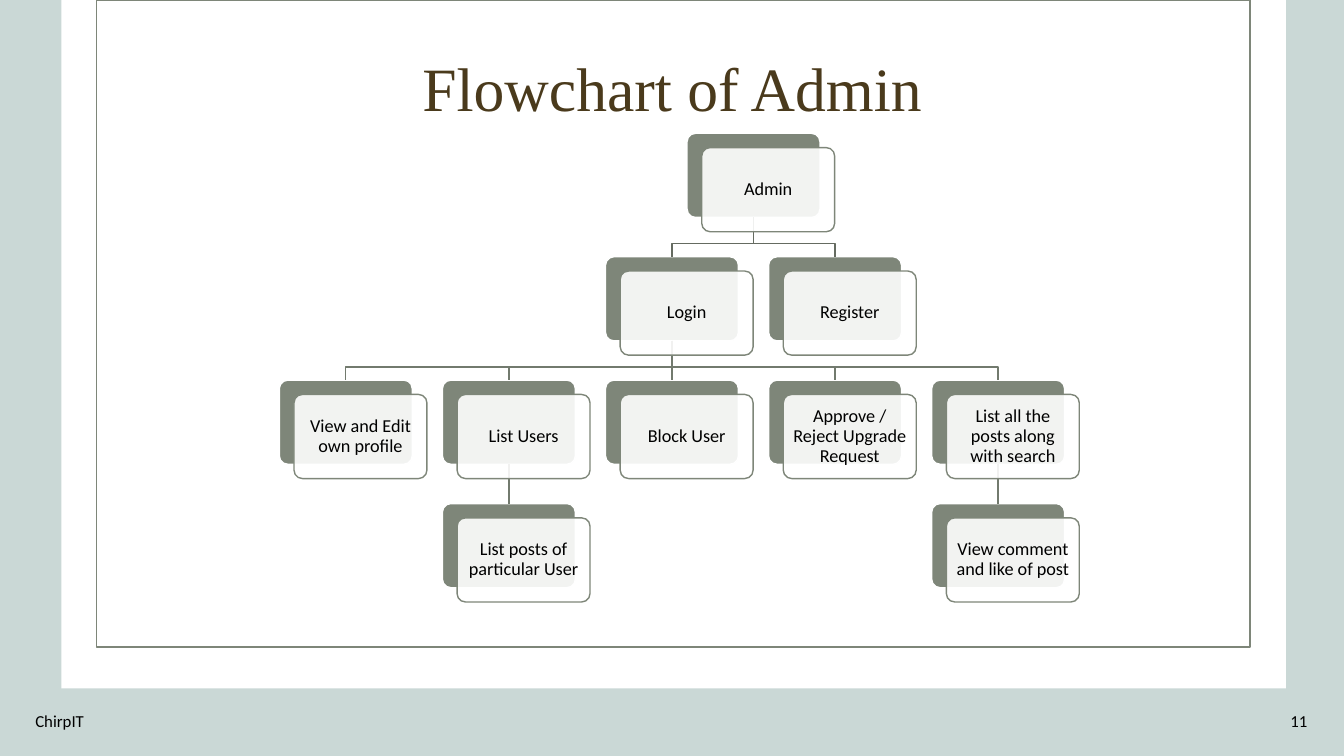
from lxml.etree import SubElement
from pptx import Presentation
from pptx.dml.color import RGBColor
from pptx.enum.shapes import MSO_CONNECTOR, MSO_SHAPE
from pptx.enum.text import MSO_ANCHOR, MSO_AUTO_SIZE, PP_ALIGN
from pptx.oxml.ns import qn
from pptx.util import Cm, Pt

WHITE, SAGE = "FFFFFF", "7E8679"
WIDE, HIGH = 3.35, 2.12
STEP_X, STEP_Y = 4.11, 3.11
SHIFT_X, SHIFT_Y = 0.37, 0.36
DROP = 0.66
NODES = {
    "Admin": (2.5, 0, None),
    "Login": (2, 1, "Admin"),
    "Register": (3, 1, "Admin"),
    "View and Edit own profile": (0, 2, "Login"),
    "List Users": (1, 2, "Login"),
    "Block User": (2, 2, "Login"),
    "Approve / Reject Upgrade Request": (3, 2, "Login"),
    "List all the posts along with search": (4, 2, "Login"),
    "List posts of particular User": (1, 3, "List Users"),
    "View comment and like of post": (4, 3, "List all the posts along with search"),
}


def color(code):
    """Turn a hex string into a colour."""
    return RGBColor.from_string(code)


def style(item, values):
    """Set each named value on an object."""
    for name, value in values.items():
        setattr(item, name, value)


def paint(shape, fill=None, line=None):
    """Give a shape its fill and line, and no shadow."""
    shape.shadow.inherit = False
    if fill:
        shape.fill.solid()
        shape.fill.fore_color.rgb = color(fill)
    else:
        shape.fill.background()
    if line:
        shape.line.color.rgb = color(line)
        shape.line.width = Pt(1)
    else:
        shape.line.fill.background()


def write(shape, text, size, align, font="Calibri", ink="000000", space=1.0, pad=0.25):
    """Fill a shape with one formatted paragraph."""
    frame = shape.text_frame
    frame.text = text
    style(frame, {
        "word_wrap": True, "auto_size": MSO_AUTO_SIZE.NONE,
        "vertical_anchor": MSO_ANCHOR.MIDDLE,
        "margin_left": Cm(pad), "margin_right": Cm(pad),
        "margin_top": Cm(0.13), "margin_bottom": Cm(0.13),
    })
    para = frame.paragraphs[0]
    style(para, {"alignment": align, "line_spacing": space})
    style(para.runs[0].font, {"name": font, "size": Pt(size)})
    para.runs[0].font.color.rgb = color(ink)


def place(shapes, kind, box):
    """Add a preset shape in a box given in centimetres."""
    return shapes.add_shape(kind, *map(Cm, box))


def stage(slide):
    """Draw the backdrop, the white panel and its frame."""
    fill = slide.background.fill
    fill.solid()
    fill.fore_color.rgb = color("CAD8D6")
    panel = place(slide.shapes, MSO_SHAPE.RECTANGLE, (1.55, 0, 30.86, 17.35))
    paint(panel, WHITE)
    frame = place(slide.shapes, MSO_SHAPE.RECTANGLE, (2.44, 0, 29.06, 16.31))
    paint(frame, line=SAGE)


def head(slide, box):
    """Put the title in its box, in front of the panel."""
    title = slide.shapes.title
    style(title, dict(zip(("left", "top", "width", "height"), map(Cm, box))))
    write(title, "Flowchart of Admin", 44, PP_ALIGN.CENTER,
          "Times New Roman", "4A3A1C", 0.9)
    slide.shapes._spTree.append(title._element)


def foot(slide, box, text, align):
    """Put one footer text in its box."""
    write(slide.shapes.add_textbox(*map(Cm, box)), text, 12, align)


def card(shapes, left, top):
    """Draw a rounded card at a corner."""
    shape = place(shapes, MSO_SHAPE.ROUNDED_RECTANGLE, (left, top, WIDE, HIGH))
    shape.adjustments[0] = 0.1
    return shape


def link(shapes, start, end, ink):
    """Join a parent card to a child card."""
    if start.left == end.left:
        line = shapes.add_connector(MSO_CONNECTOR.STRAIGHT, 0, 0, 0, 0)
        line.begin_connect(start, 2)
        line.end_connect(end, 0)
        line.line.color.rgb = color(ink)
        line.line.width = Pt(1)
        SubElement(line._element.spPr, qn("a:effectLst"))
        return
    here, there = (item.left + item.width // 2 for item in (start, end))
    base = start.top + start.height
    turn = base + Cm(DROP)
    path = shapes.build_freeform(here, base)
    path.add_line_segments([(here, turn), (there, turn), (there, end.top)], close=False)
    paint(path.convert_to_shape(), line=ink)


def chart(slide, left, top):
    """Draw the tree of cards from its top left corner."""
    shapes = slide.shapes
    spots = {name: (left + col * STEP_X, top + row * STEP_Y)
             for name, (col, row, _) in NODES.items()}
    backs = {}
    for name, spot in spots.items():
        backs[name] = card(shapes, *spot)
        paint(backs[name], SAGE, WHITE)
    for name, (_, row, boss) in NODES.items():
        if boss:
            link(shapes, backs[boss], backs[name], "656B61" if row == 1 else "727A6E")
    for name, (x, y) in spots.items():
        front = card(shapes, x + SHIFT_X, y + SHIFT_Y)
        paint(front, WHITE, SAGE)
        tint = front._element.spPr.find(qn("a:solidFill"))[0]
        SubElement(tint, qn("a:alpha"), val="90000")
        write(front, name, 13, PP_ALIGN.CENTER, space=0.9, pad=0.19)


def main():
    """Build and save the slide."""
    deck = Presentation()
    style(deck, {"slide_width": Cm(33.87), "slide_height": Cm(19.05)})
    slide = deck.slides.add_slide(deck.slide_layouts[5])
    stage(slide)
    head(slide, (1.07, 1.07, 31.75, 2.49))
    foot(slide, (0.64, 17.65, 11.43, 1.02), "ChirpIT", PP_ALIGN.LEFT)
    foot(slide, (25.58, 17.65, 7.62, 1.02), "11", PP_ALIGN.RIGHT)
    chart(slide, 7.04, 3.36)
    deck.save("out.pptx")


if __name__ == "__main__":
    main()
